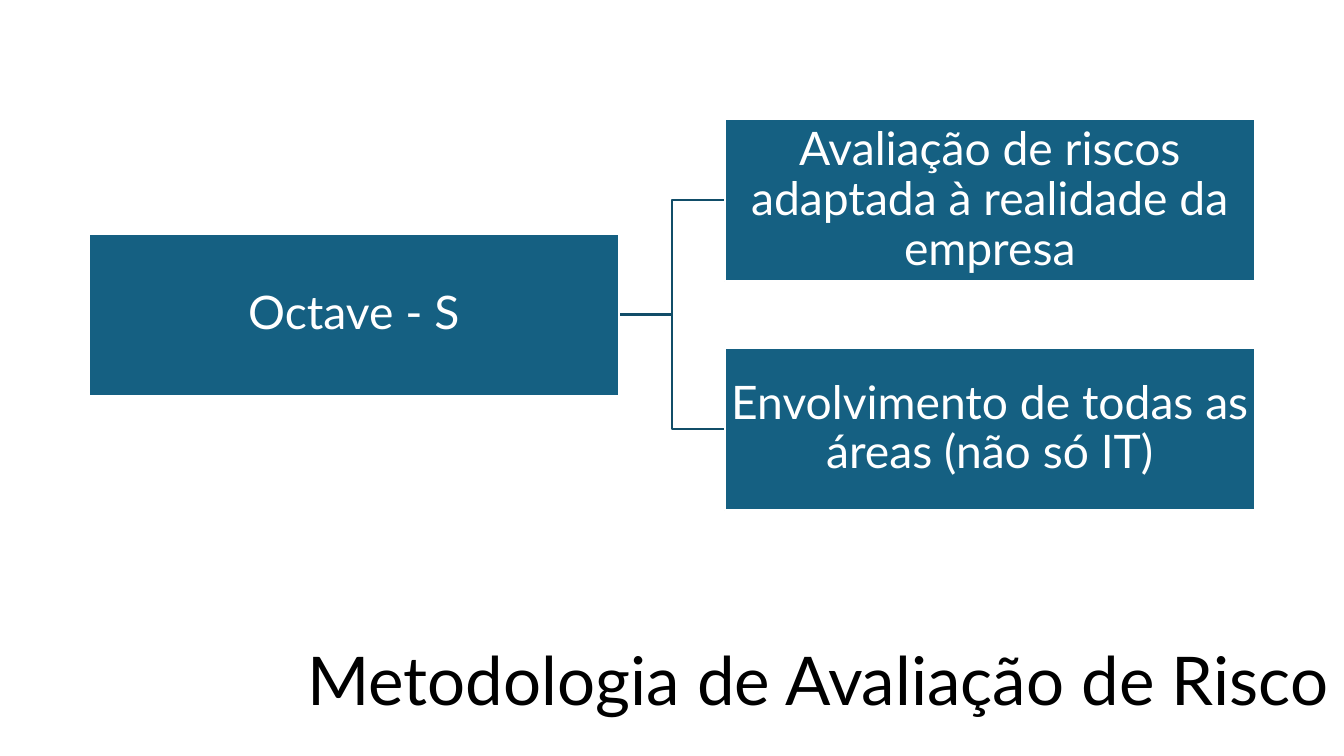
from dataclasses import dataclass

from pptx import Presentation
from pptx.dml.color import RGBColor
from pptx.enum.shapes import MSO_CONNECTOR, MSO_SHAPE
from pptx.enum.text import MSO_ANCHOR, MSO_AUTO_SIZE, PP_ALIGN
from pptx.oxml.ns import qn
from pptx.util import Pt
from lxml.etree import SubElement


@dataclass(frozen=True)
class Theme:
    font: str = "Lato"
    fill: RGBColor = RGBColor(0x15, 0x60, 0x82)
    link: RGBColor = RGBColor(0x11, 0x4D, 0x68)
    white: RGBColor = RGBColor(255, 255, 255)
    black: RGBColor = RGBColor(0, 0, 0)
    title: int = 48
    label: int = 33
    rule: float = 1.5


THEME = Theme()


def style(para, size, color):
    for run in para.runs:
        run.font.name = THEME.font
        run.font.size = Pt(size)
        run.font.bold = False
        run.font.color.rgb = color


def add_title(slide, box, text):
    title = slide.shapes.title
    title.left, title.top, title.width, title.height = map(Pt, box)
    frame = title.text_frame
    frame.text = text
    frame.word_wrap = True
    frame.auto_size = MSO_AUTO_SIZE.NONE
    frame.vertical_anchor = MSO_ANCHOR.TOP
    para = frame.paragraphs[0]
    para.alignment = PP_ALIGN.LEFT
    style(para, THEME.title, THEME.black)


def add_node(slide, box, text):
    node = slide.shapes.add_shape(MSO_SHAPE.RECTANGLE, *map(Pt, box))
    node.shadow.inherit = False
    node.fill.solid()
    node.fill.fore_color.rgb = THEME.fill
    node.line.color.rgb = THEME.white
    node.line.width = Pt(THEME.rule)
    frame = node.text_frame
    frame.text = text
    frame.word_wrap = True
    frame.vertical_anchor = MSO_ANCHOR.MIDDLE
    frame.margin_left = frame.margin_right = Pt(1.5)
    frame.margin_top = frame.margin_bottom = Pt(1.5)
    para = frame.paragraphs[0]
    para.alignment = PP_ALIGN.CENTER
    para.line_spacing = 0.9
    style(para, THEME.label, THEME.white)
    return node


def add_link(slide):
    link = slide.shapes.add_connector(MSO_CONNECTOR.ELBOW, 0, 0, 0, 0)
    link.line.color.rgb = THEME.link
    link.line.width = Pt(THEME.rule)
    SubElement(link._element.spPr, qn("a:effectLst"))
    return link


def add_tree(slide, box, root, leaves, gap_x=75.6, gap_y=47.6):
    left, top, width, height = box
    count = len(leaves)
    wide = (width - gap_x) / 2
    tall = (height - gap_y * (count - 1)) / count

    # Links come first so that they lie behind the nodes
    links = [add_link(slide) for _ in leaves]
    start = add_node(slide, (left, top + (height - tall) / 2, wide, tall), root)
    for row, (link, text) in enumerate(zip(links, leaves)):
        spot = (left + wide + gap_x, top + row * (tall + gap_y), wide, tall)
        leaf = add_node(slide, spot, text)
        link.begin_connect(start, 3)
        link.end_connect(leaf, 1)


def main():
    deck = Presentation()
    deck.slide_width, deck.slide_height = Pt(960), Pt(540)
    slide = deck.slides.add_slide(deck.slide_layouts[5])

    # Method and its two traits
    add_tree(slide, (63.4, 85, 833, 279.4), "Octave - S", [
        "Avaliação de riscos adaptada à realidade da empresa",
        "Envolvimento de todas as áreas (não só IT)",
    ])

    # Title at the foot
    add_title(slide, (212.4, 452.2, 766.8, 65.5),
              "Metodologia de Avaliação de Risco")

    deck.save("out.pptx")


if __name__ == "__main__":
    main()
